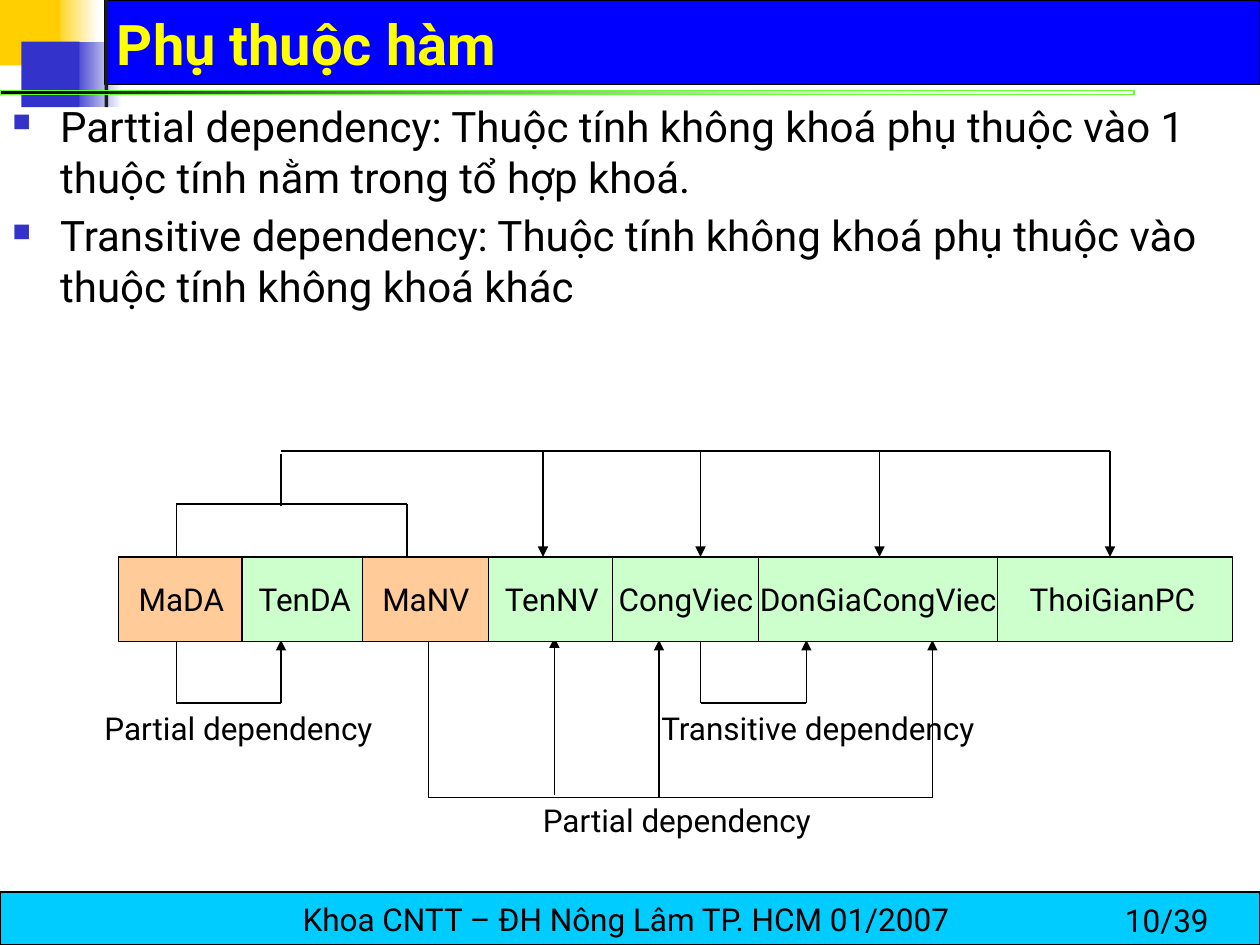
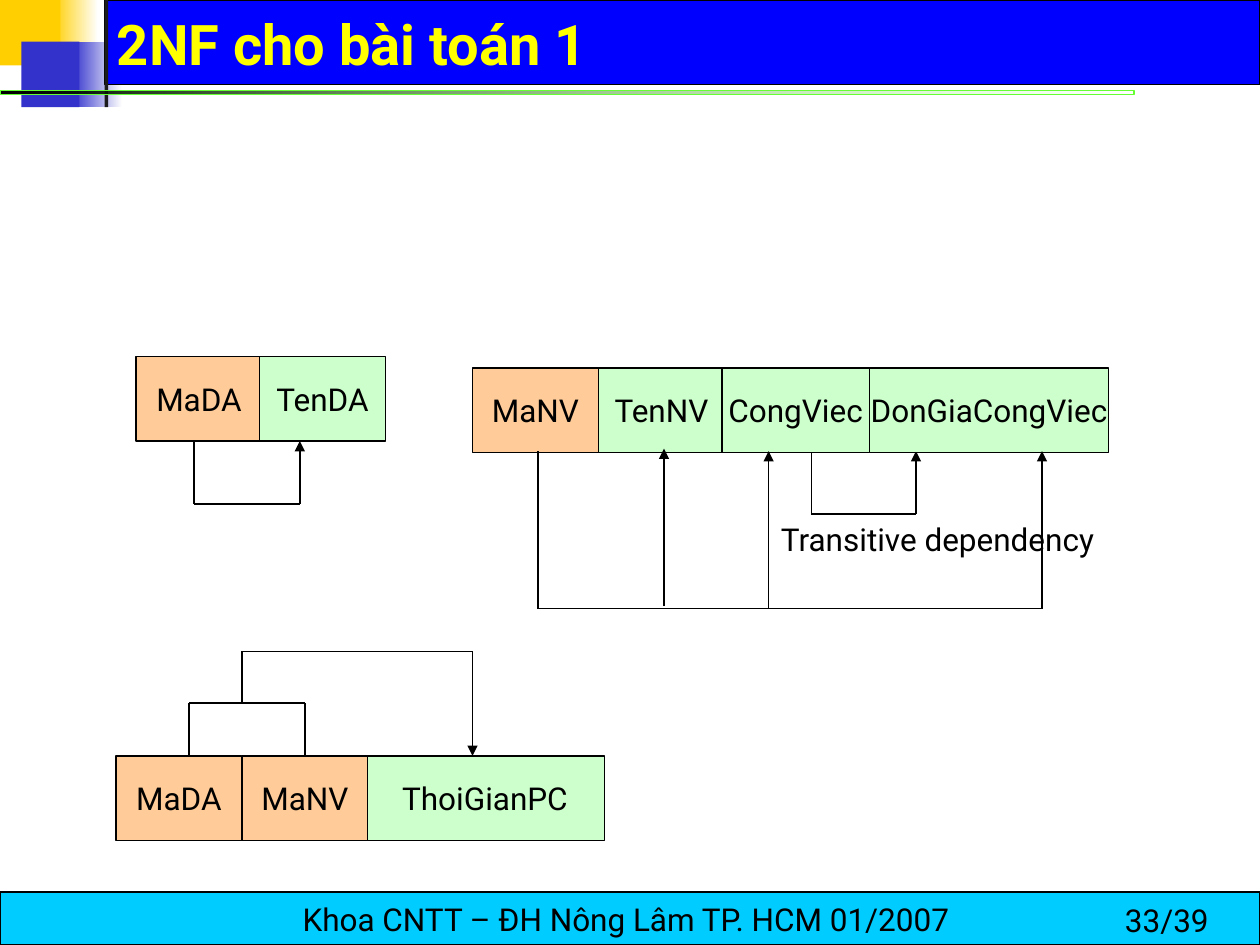
from dataclasses import dataclass
from typing import NamedTuple, Optional

from lxml.etree import SubElement
from pptx import Presentation
from pptx.dml.color import RGBColor
from pptx.enum.shapes import MSO_CONNECTOR, MSO_SHAPE
from pptx.enum.text import MSO_ANCHOR, PP_ALIGN
from pptx.oxml.ns import qn
from pptx.util import Inches, Pt


# Theme
@dataclass(frozen=True)
class Theme:
    font: str = "Roboto"
    title_size: float = 32
    body_size: float = 24
    label_size: float = 18
    line_width: float = 0.75
    black: str = "000000"
    white: str = "FFFFFF"
    gold: str = "FFCF01"
    indigo: str = "3333CC"
    charcoal: str = "1C1C1C"
    title_band: str = "0000FF"
    title_text: str = "FFFF00"
    rule: str = "66FF33"
    footer_band: str = "00CCFF"
    key_cell: str = "FFCC99"
    plain_cell: str = "CCFFCC"


THEME = Theme()
FOOTER = "Khoa CNTT – ĐH Nông Lâm TP. HCM 01/2007 "


class Area(NamedTuple):
    left: float
    top: float
    width: float
    height: float


class Block(NamedTuple):
    area: Area
    color: str
    fade_to: Optional[str] = None
    border: Optional[str] = None
    border_width: float = THEME.line_width


class Attribute(NamedTuple):
    width: float = 1
    is_key: bool = False


class Cell(NamedTuple):
    name: str
    left: float


class Label(NamedTuple):
    text: str
    left: float
    top: float
    width: float


class Path(NamedTuple):
    points: tuple
    arrow: bool = True


@dataclass(frozen=True)
class Diagram:
    row_top: float
    cells: tuple
    paths_below: tuple = ()
    paths_above: tuple = ()
    labels: tuple = ()


@dataclass(frozen=True)
class Page:
    title: str
    number: str
    diagrams: tuple
    bullets: tuple = ()


# Relation attributes and page decoration
ROW_HEIGHT = 0.67
ATTRIBUTES = {
    "MaDA": Attribute(is_key=True),
    "TenDA": Attribute(),
    "MaNV": Attribute(is_key=True),
    "TenNV": Attribute(),
    "CongViec": Attribute(1.17),
    "DonGiaCongViec": Attribute(1.9),
    "ThoiGianPC": Attribute(1.9),
}
FOOTER_BLOCK = Block(Area(0, 7.08, 10, 0.42), THEME.footer_band, border=THEME.black)
RULE_BLOCK = Block(Area(0, 0.72, 9, 0.03), THEME.black, THEME.rule, THEME.rule, 0)
DECORATION = (
    Block(Area(0.42, 0, 0.36, 0.52), THEME.gold, THEME.white),
    Block(Area(0.57, 0.33, 0.4, 0.52), THEME.indigo, THEME.white),
    Block(Area(0.83, 0, 9.17, 0.67), THEME.title_band, border=THEME.black),
    Block(Area(0, 0, 0.48, 0.52), THEME.gold),
    Block(Area(0.17, 0.33, 0.46, 0.52), THEME.indigo),
    Block(Area(0.83, 0, 0.03, 0.85), THEME.charcoal),
)


# Path shapes
def hook(start: float, end: float, base: float, level: float, arrow: bool = True) -> Path:
    return Path(((start, base), (start, level), (end, level), (end, base)), arrow)


def arrow_to(x: float, start: float, end: float) -> Path:
    return Path(((x, start), (x, end)))


def partial_dependencies(left: float, base: float) -> tuple:
    level = base + 1.25
    return (
        hook(left, left + 4, base, level),
        arrow_to(left + 1, level - 0.02, base - 0.02),
        arrow_to(left + 1.83, level, base),
    )


# Page content
PAGES = (
    Page(
        "Phụ thuộc hàm",
        "10/39",
        (
            Diagram(
                row_top=4.42,
                cells=(
                    Cell("MaDA", 0.94),
                    Cell("TenDA", 1.92),
                    Cell("MaNV", 2.88),
                    Cell("TenNV", 3.88),
                    Cell("ThoiGianPC", 7.88),
                    Cell("CongViec", 4.86),
                    Cell("DonGiaCongViec", 6.02),
                ),
                paths_below=(
                    *partial_dependencies(3.4, 5.08),
                    hook(1.4, 2.23, 5.08, 5.58),
                    hook(5.56, 6.4, 5.08, 5.58),
                ),
                paths_above=(
                    hook(1.4, 3.23, 4.42, 4, arrow=False),
                    Path(((2.23, 3.6), (2.23, 4.02)), arrow=False),
                    Path(((2.23, 3.58), (8.81, 3.58), (8.81, 4.42))),
                    *(arrow_to(x, 3.58, 4.42) for x in (4.31, 5.56, 6.98)),
                ),
                labels=(
                    Label("Partial dependency", 4.21, 6.31, 2.5),
                    Label("Partial dependency", 0.73, 5.58, 2.5),
                    Label("Transitive dependency", 5.15, 5.58, 2.83),
                ),
            ),
        ),
        (
            "Parttial dependency: Thuộc tính không khoá phụ thuộc vào 1 "
            "thuộc tính nằm trong tổ hợp khoá.",
            "Transitive dependency: Thuộc tính không khoá phụ thuộc vào "
            "thuộc tính không khoá khác",
        ),
    ),
    Page(
        "2NF cho bài toán 1",
        "33/39",
        (
            Diagram(
                row_top=2.83,
                cells=(Cell("MaDA", 1.08), Cell("TenDA", 2.06)),
                paths_below=(hook(1.54, 2.38, 3.5, 4),),
            ),
            Diagram(
                row_top=2.92,
                cells=(
                    Cell("MaNV", 3.75),
                    Cell("TenNV", 4.75),
                    Cell("CongViec", 5.73),
                    Cell("DonGiaCongViec", 6.9),
                ),
                paths_below=(hook(6.44, 7.27, 3.58, 4.08),),
                paths_above=partial_dependencies(4.27, 3.58),
                labels=(Label("Transitive dependency", 6.1, 4.08, 2.83),),
            ),
            Diagram(
                row_top=6,
                cells=(Cell("ThoiGianPC", 2.9), Cell("MaDA", 0.92), Cell("MaNV", 1.92)),
                paths_above=(
                    hook(1.5, 2.42, 6, 5.58, arrow=False),
                    Path(((1.92, 5.58), (1.92, 5.17), (3.75, 5.17), (3.75, 6))),
                ),
            ),
        ),
    ),
)


# Drawing functions
def rgb(color: str) -> RGBColor:
    return RGBColor.from_string(color)


def write(para, text: str, size: float, color: str = THEME.black, bold: bool = False) -> None:
    para.text = text
    font = para.font
    font.name, font.size, font.bold = THEME.font, Pt(size), bold
    font.color.rgb = rgb(color)


def add_block(shapes, block: Block, text: str = ""):
    box = shapes.add_shape(MSO_SHAPE.RECTANGLE, *map(Inches, block.area))
    box.shadow.inherit = False
    if block.fade_to:
        box.fill.gradient()
        box.fill.gradient_angle = 0
        for stop, color in zip(box.fill.gradient_stops, (block.color, block.fade_to)):
            stop.color.rgb = rgb(color)
    else:
        box.fill.solid()
        box.fill.fore_color.rgb = rgb(block.color)
    if block.border:
        box.line.color.rgb = rgb(block.border)
        box.line.width = Pt(block.border_width)
    else:
        box.line.fill.background()
    if text:
        frame = box.text_frame
        frame.word_wrap = False
        frame.vertical_anchor = MSO_ANCHOR.MIDDLE
        para = frame.paragraphs[0]
        para.alignment = PP_ALIGN.CENTER
        write(para, text, THEME.label_size)
    return box


def add_text(shapes, area: Area, text: str, size: float = THEME.label_size,
             color: str = THEME.black, bold: bool = False):
    frame = shapes.add_textbox(*map(Inches, area)).text_frame
    frame.word_wrap = True
    write(frame.paragraphs[0], text, size, color, bold)
    return frame


def add_bullets(shapes, bullets: tuple) -> None:
    frame = shapes.add_textbox(*map(Inches, Area(0, 0.75, 10, 6.25))).text_frame
    frame.word_wrap = True
    for index, text in enumerate(bullets):
        para = frame.add_paragraph() if index else frame.paragraphs[0]
        write(para, text, THEME.body_size)
        para.space_after = Pt(4.8)
        properties = para._p.get_or_add_pPr()
        properties.set("marL", str(Inches(0.38)))
        properties.set("indent", str(-Inches(0.38)))
        # Bullet elements belong between the spacing and the default run font
        marks = [SubElement(properties, qn(tag)) for tag in ("a:buClr", "a:buSzPct", "a:buChar")]
        SubElement(marks[0], qn("a:srgbClr")).set("val", THEME.indigo)
        marks[1].set("val", "60000")
        marks[2].set("char", "■")
        properties.append(properties.find(qn("a:defRPr")))


def add_path(shapes, path: Path) -> None:
    for start, end in zip(path.points, path.points[1:]):
        line = shapes.add_connector(MSO_CONNECTOR.STRAIGHT, *map(Inches, start + end))
        line.line.color.rgb = rgb(THEME.black)
        line.line.width = Pt(THEME.line_width)
        if path.arrow and end == path.points[-1]:
            SubElement(line.line._get_or_add_ln(), qn("a:tailEnd")).set("type", "triangle")
        SubElement(line._element.spPr, qn("a:effectLst"))


def add_diagram(page, diagram: Diagram) -> None:
    shapes = page.shapes.add_group_shape().shapes
    for path in diagram.paths_below:
        add_path(shapes, path)
    for cell in diagram.cells:
        attribute = ATTRIBUTES[cell.name]
        area = Area(cell.left, diagram.row_top, attribute.width, ROW_HEIGHT)
        color = THEME.key_cell if attribute.is_key else THEME.plain_cell
        add_block(shapes, Block(area, color, border=THEME.black), cell.name)
    for label in diagram.labels:
        add_text(shapes, Area(label.left, label.top, label.width, 0.4), label.text)
    for path in diagram.paths_above:
        add_path(shapes, path)


def add_frame(page, content: Page) -> None:
    for block in DECORATION:
        add_block(page.shapes, block)
    rule = add_block(page.shapes, RULE_BLOCK)
    last_color = rule._element.findall(".//" + qn("a:gs"))[-1][0]
    SubElement(last_color, qn("a:alpha")).set("val", "0")
    add_block(page.shapes, FOOTER_BLOCK, FOOTER)
    add_text(page.shapes, Area(8.83, 7.1, 1.17, 0.4), content.number)
    title = add_text(page.shapes, Area(0.83, 0.08, 8.94, 0.58), content.title,
                     THEME.title_size, THEME.title_text, bold=True)
    title.vertical_anchor = MSO_ANCHOR.BOTTOM


def main() -> None:
    deck = Presentation()
    deck.slide_width, deck.slide_height = Inches(10), Inches(7.5)
    for content in PAGES:
        page = deck.slides.add_slide(deck.slide_layouts[6])
        add_frame(page, content)
        if content.bullets:
            add_bullets(page.shapes, content.bullets)
        for diagram in content.diagrams:
            add_diagram(page, diagram)
    deck.save("out.pptx")


if __name__ == "__main__":
    main()
